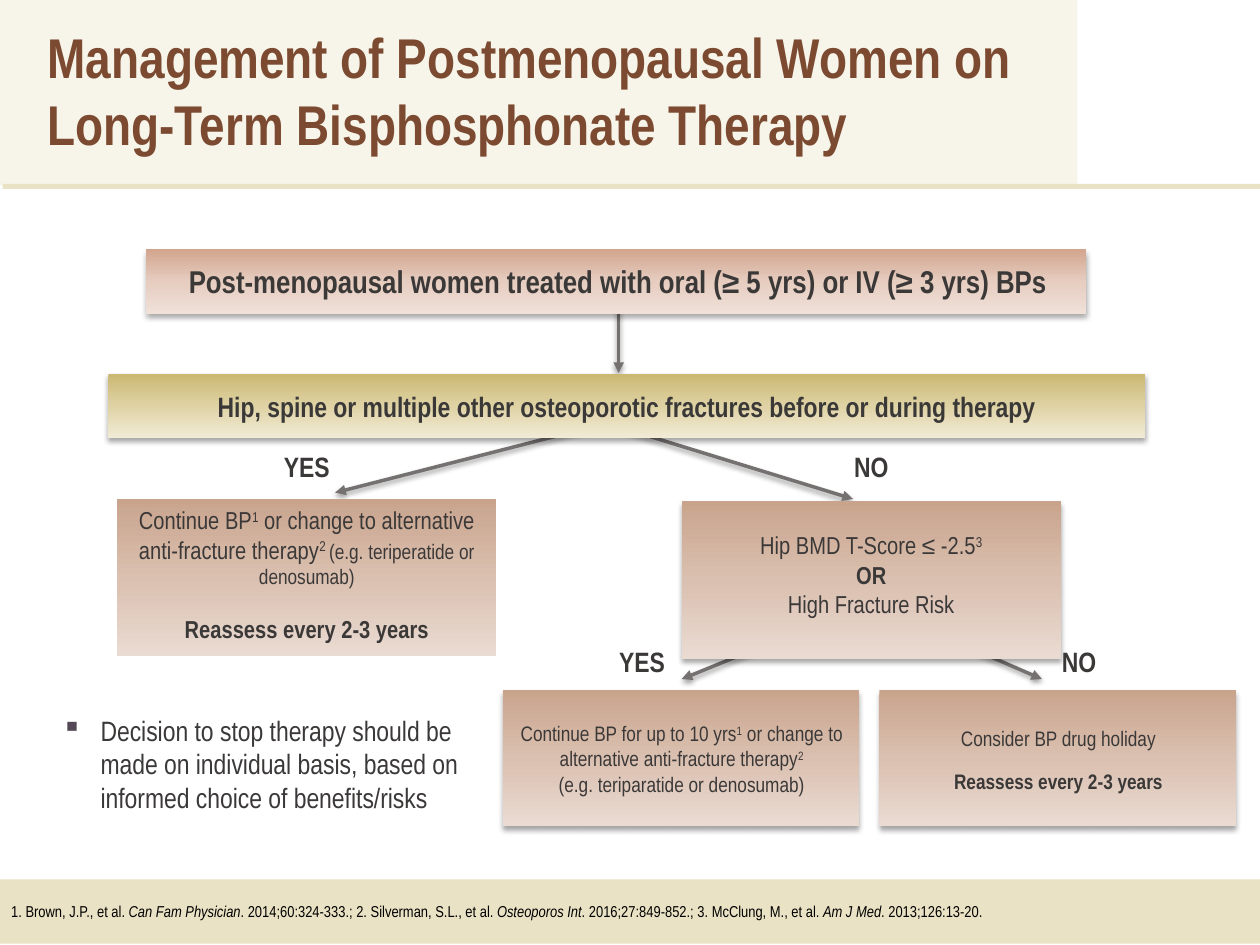
from dataclasses import dataclass
from typing import NamedTuple

from lxml import etree
from pptx import Presentation
from pptx.dml.color import RGBColor
from pptx.enum.shapes import MSO_CONNECTOR, MSO_SHAPE
from pptx.enum.text import MSO_ANCHOR, MSO_AUTO_SIZE, PP_ALIGN
from pptx.oxml.ns import qn
from pptx.util import Pt

RECT = MSO_SHAPE.RECTANGLE
LINE = MSO_CONNECTOR.STRAIGHT
TOP, MIDDLE = MSO_ANCHOR.TOP, MSO_ANCHOR.MIDDLE
LEFT, CENTER = PP_ALIGN.LEFT, PP_ALIGN.CENTER
GROW = MSO_AUTO_SIZE.SHAPE_TO_FIT_TEXT
SCALE = 9144


@dataclass(frozen=True)
class Theme:
    font: str = "Arial Narrow"
    title: str = "7B4A31"
    ink: str = "3B3838"
    black: str = "000000"
    cream: str = "F7F4E9"
    sand: str = "EAE2C4"
    arrow: str = "767171"
    bullet: str = "554856"
    rose: tuple = ("D2A58E", "E6CDC0", "F0E0D8")
    gold: tuple = ("CBB873", "DFD3A5", "F2EBD6")
    clay: tuple = ("C9A48D", "DAC0B0", "EADBD2")
    head: int = 32
    lead: int = 18
    body: int = 16
    node: int = 14
    leaf: int = 12
    note: int = 9


T = Theme()


class Area(NamedTuple):
    x: int
    y: int
    w: int
    h: int


class Bit(NamedTuple):
    text: str
    size: int
    bold: bool = False
    italic: bool = False
    sup: bool = False


class Para(NamedTuple):
    bits: list
    align: int = CENTER
    color: str = T.ink
    before: int = 0
    after: int = 0
    bullet: str = ""


class Panel(NamedTuple):
    area: Area
    stops: tuple
    text: Area
    paras: list


class Arrow(NamedTuple):
    x1: int
    y1: int
    x2: int
    y2: int


def px(n: int) -> int:
    return n * SCALE


def add_shade(props, alpha: int, dist: float) -> None:
    old = props.find(qn("a:effectLst"))
    if old is not None:
        props.remove(old)
    effects = etree.SubElement(props, qn("a:effectLst"))
    shade = etree.SubElement(effects, qn("a:outerShdw"), blurRad=str(Pt(3.1)),
                             dist=str(Pt(dist)), dir="5400000", rotWithShape="0")
    color = etree.SubElement(shade, qn("a:srgbClr"), val=T.black)
    etree.SubElement(color, qn("a:alpha"), val=str(alpha * 1000))


def add_text(frame, paras: list, anchor=TOP, grow: bool = True) -> None:
    frame.word_wrap = True
    frame.vertical_anchor = anchor
    if grow:
        frame.auto_size = GROW
    for i, spec in enumerate(paras):
        para = frame.paragraphs[0] if i == 0 else frame.add_paragraph()
        para.alignment = spec.align
        para.space_before, para.space_after = Pt(spec.before), Pt(spec.after)
        if spec.bullet:
            props = para._p.get_or_add_pPr()
            props.set("marL", str(px(31)))
            props.set("indent", str(px(-31)))
            tint = etree.SubElement(props, qn("a:buClr"))
            etree.SubElement(tint, qn("a:srgbClr"), val=T.bullet)
            etree.SubElement(props, qn("a:buChar"), char=spec.bullet)
        for bit in spec.bits:
            if bit.text == "\n":
                para.add_line_break()
                continue
            run = para.add_run()
            run.text = bit.text
            font = run.font
            font.name, font.size = T.font, Pt(bit.size)
            font.bold, font.italic = bit.bold, bit.italic
            font.color.rgb = RGBColor.from_string(spec.color)
            if bit.sup:
                run._r.get_or_add_rPr().set("baseline", "30000")


def add_box(slide, area: Area, paras: list) -> None:
    box = slide.shapes.add_textbox(*map(px, area))
    add_text(box.text_frame, paras)


def add_rect(slide, area: Area, color: str = ""):
    shape = slide.shapes.add_shape(RECT, *map(px, area))
    shape.shadow.inherit = False
    shape.line.fill.background()
    if color:
        shape.fill.solid()
        shape.fill.fore_color.rgb = RGBColor.from_string(color)
    return shape


def add_panel(slide, panel: Panel) -> None:
    shape = add_rect(slide, panel.area)
    shape.fill.gradient()
    shape.fill.gradient_angle = 270
    props = shape._element.spPr
    stops = props.find(qn("a:gradFill")).find(qn("a:gsLst"))
    for stop in list(stops):
        stops.remove(stop)
    for i, color in enumerate(panel.stops):
        stop = etree.SubElement(stops, qn("a:gs"), pos=str(i * 50000))
        etree.SubElement(stop, qn("a:srgbClr"), val=color)
    if panel.text == panel.area:
        add_text(shape.text_frame, panel.paras)
    else:
        add_shade(props, 35, 1.8)
        add_box(slide, panel.text, panel.paras)


def add_arrow(slide, arrow: Arrow) -> None:
    link = slide.shapes.add_connector(LINE, *map(px, arrow))
    link.line.width = Pt(2)
    link.line.color.rgb = RGBColor.from_string(T.arrow)
    etree.SubElement(link.line._get_or_add_ln(), qn("a:tailEnd"), type="triangle")
    add_shade(link._element.spPr, 38, 1.6)


BREAK = Bit("\n", T.node)
AGAIN = "Reassess every 2-3 years"
YES_BOX = Area(93, 396, 301, 125)
CITES = [("1. Brown, J.P., et al. ", "Can Fam Physician"),
         (". 2014;60:324-333.; 2. Silverman, S.L., et al. ", "Osteoporos Int"),
         (". 2016;27:849-852.; 3. McClung, M., et al. ", "Am J Med"),
         (". 2013;126:13-20.", "")]
ARROWS = [Arrow(491, 238, 491, 296), Arrow(691, 480, 827, 539),
          Arrow(691, 478, 541, 539), Arrow(485, 337, 677, 396),
          Arrow(485, 335, 266, 391)]
LABELS = [("YES", 434, 507), ("NO", 781, 507), ("YES", 168, 352), ("NO", 616, 352)]
PANELS = [
    Panel(Area(116, 198, 746, 51), T.rose, Area(129, 203, 723, 40), [Para([
        Bit("Post-menopausal women treated with oral (≥ 5 yrs) or IV (≥ 3 yrs) BPs",
            T.lead, True)])]),
    Panel(Area(86, 297, 823, 51), T.gold, Area(112, 304, 771, 37), [Para([
        Bit("Hip, spine or multiple other osteoporotic fractures before or during therapy",
            T.body, True)])]),
    Panel(YES_BOX, T.clay, YES_BOX, [
        Para([Bit("Continue BP", T.node), Bit("1", T.node, sup=True),
              Bit(" or change to alternative anti-fracture therapy", T.node),
              Bit("2 ", T.node, sup=True),
              Bit("(e.g. teriperatide or denosumab)", T.leaf)]),
        Para([Bit(AGAIN, T.node, True)], before=14, after=10)]),
    Panel(Area(399, 548, 283, 108), T.clay, Area(400, 567, 282, 71), [Para([
        Bit("Continue BP for up to 10 yrs", T.leaf), Bit("1", T.leaf, sup=True),
        Bit(" or change to alternative anti-fracture therapy", T.leaf),
        Bit("2", T.leaf, sup=True), BREAK,
        Bit("(e.g. teriparatide or denosumab)", T.leaf)])]),
    Panel(Area(541, 398, 301, 125), T.clay, Area(541, 416, 301, 81), [Para([
        Bit("Hip BMD T-Score ≤ -2.5", T.node), Bit("3", T.node, sup=True), BREAK,
        Bit("OR", T.node, True), BREAK, Bit("High Fracture Risk", T.node)])]),
    Panel(Area(698, 548, 283, 108), T.clay, Area(699, 571, 282, 65), [
        Para([Bit("Consider BP drug holiday", T.leaf)], after=10),
        Para([Bit(AGAIN, T.leaf, True)], after=10)]),
]


def main() -> None:
    deck = Presentation()
    deck.slide_width, deck.slide_height = px(1000), px(750)
    slide = deck.slides.add_slide(deck.slide_layouts[6])
    add_rect(slide, Area(0, -1, 855, 148), T.cream)
    add_box(slide, Area(28, 13, 808, 118), [Para([Bit(
        "Management of Postmenopausal Women on Long-Term Bisphosphonate Therapy",
        T.head, True)], LEFT, T.title)])
    foot = add_rect(slide, Area(-1, 698, 1002, 51), T.sand)
    cites = [Bit(text, T.note, italic=slant) for pair in CITES
             for text, slant in zip(pair, (False, True)) if text]
    add_text(foot.text_frame, [Para(cites, LEFT, T.black)], MIDDLE, False)
    add_rect(slide, Area(2, 146, 1002, 4), T.sand)
    for arrow in ARROWS:
        add_arrow(slide, arrow)
    for panel in PANELS:
        add_panel(slide, panel)
    for word, x, y in LABELS:
        add_box(slide, Area(x, y, 151, 37), [Para([Bit(word, T.body, True)])])
    add_box(slide, Area(39, 561, 346, 91), [Para([Bit(
        "Decision to stop therapy should be made on individual basis, "
        "based on informed choice of benefits/risks", T.body)], LEFT, bullet="▪")])
    deck.save("out.pptx")


if __name__ == "__main__":
    main()
